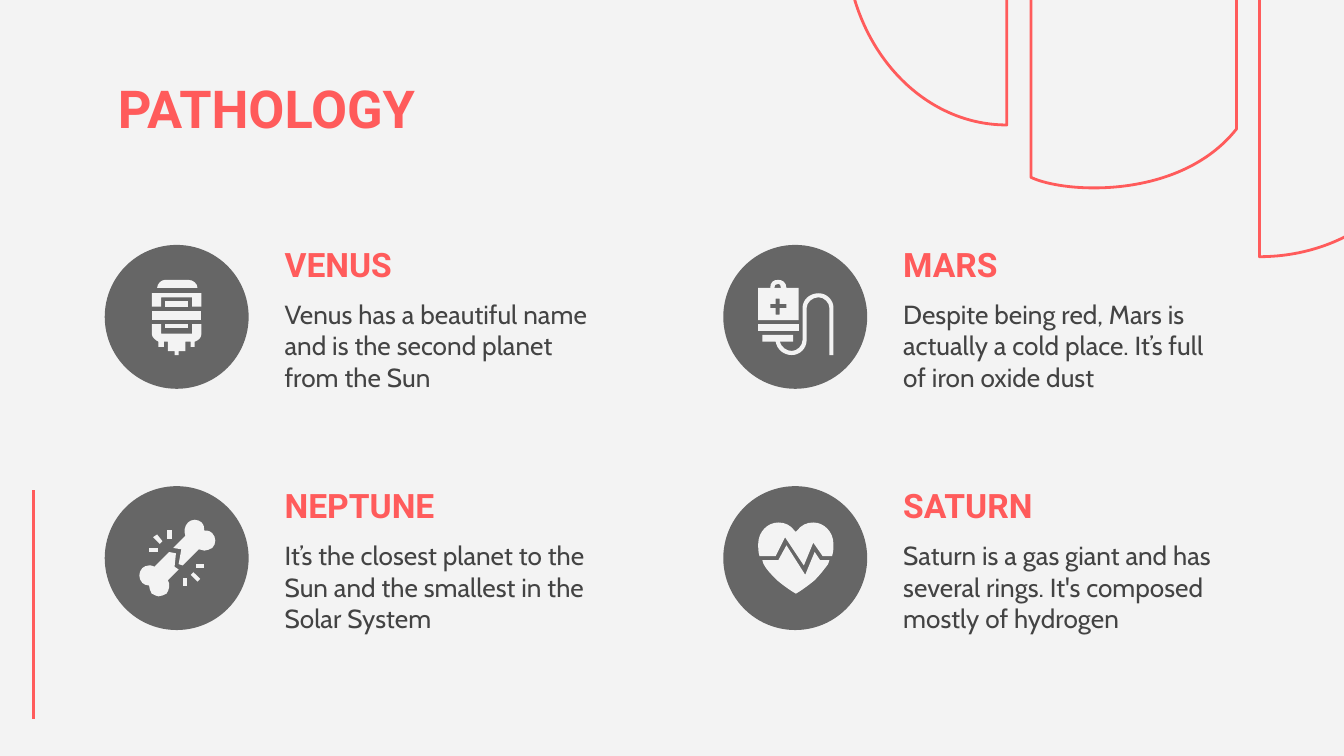
from itertools import islice

from pptx import Presentation
from pptx.dml.color import RGBColor
from pptx.enum import shapes, text
from pptx.oxml import parse_xml
from pptx.oxml.ns import nsdecls, qn
from pptx.util import Cm, Pt

COLORS = {"paper": "F3F3F3", "accent": "FF5B5B", "disc": "666666", "body": "434343"}
UNIT = Cm(2.54) / 100  # outlines are written in hundredths of an inch
DISC = Cm(2.72)

# Outlines: M move, L lines, C Bezier curve, R rectangle from corner to corner
ARCS = [
    "M 120 93 L 120 -187 C 54 -187 0 -125 0 -47 C 0 31 54 93 120 93",
    "M 308 -41 L 308 191 C 380 191 438 139 438 75 C 438 11 380 -41 308 -41",
    "M 138 132 C 163 144 249 149 291 96 L 291 -110 C 274 -148 192 -167 138 -149",
]
BANDAGED_HEAD = [
    "M 45 26 C 42 26 39 29 39 32 L 69 32 C 69 29 66 26 62 26",
    "R 45 59 62 62",
    "R 45 42 62 46",
    "M 35 36 L 35 46 42 46 42 39 65 39 65 46 72 46 72 36",
    "M 35 59 L 35 66 C 35 69 38 71 40 72 L 40 76 44 76 44 72 47 72 47 79 52 79 52 82 "
    "55 82 55 79 60 79 60 72 64 72 64 76 67 76 67 72 C 70 71 72 69 72 66 "
    "L 72 59 65 59 65 66 42 66 42 59",
    "R 35 49 72 56",
]
DRIP_BAG = [
    "M 41 29 C 42 29 43 30 43 32 L 38 32 C 38 30 39 29 41 29 "
    "M 42 40 L 42 44 47 44 47 47 42 47 42 52 39 52 39 47 35 47 35 44 39 44 39 40 "
    "M 41 26 C 37 26 35 28 35 32 L 26 32 26 56 56 56 56 32 47 32 C 47 28 44 26 41 26",
    "R 26 59 56 64",
    "M 71 36 C 64 36 59 41 59 47 L 59 71 C 59 75 55 79 51 79 C 47 79 43 76 42 72 "
    "L 52 72 52 67 29 67 29 72 39 72 C 40 78 45 82 51 82 C 57 82 62 77 62 71 "
    "L 62 47 C 62 43 66 39 71 39 C 75 39 79 43 79 47 L 79 82 82 82 82 47 "
    "C 82 41 77 36 71 36",
]
BROKEN_BONE = [
    "M 48 49 L 37 60 C 36 59 34 59 33 59 C 31 59 29 60 28 61 C 25 64 25 69 28 72 "
    "C 29 73 31 74 33 74 C 33 76 34 78 35 80 C 37 81 39 82 40 82 C 42 82 44 81 46 80 "
    "C 48 77 49 73 47 70 L 55 62 52 60 53 50",
    "M 67 25 C 65 25 63 26 62 27 C 59 30 59 34 60 37 L 51 46 57 47 55 58 58 59 70 47 "
    "C 72 47 73 48 74 48 C 76 48 78 47 80 46 C 83 43 83 38 80 35 C 78 33 76 33 74 33 "
    "C 74 31 74 29 72 27 C 71 26 69 25 67 25",
    "M 39 36 L 36 38 41 43 43 41",
    "R 33 46 40 49",
    "R 46 33 50 39",
    "M 66 64 L 64 66 69 71 71 69",
    "R 68 58 74 61",
    "R 58 68 61 74",
]
HEARTBEAT = [
    "M 47 44 L 41 55 29 55 C 29 56 30 57 30 58 C 32 62 36 66 40 70 C 46 75 52 79 54 80 "
    "C 56 79 62 75 68 70 C 72 66 75 62 78 58 C 78 57 79 56 79 55 L 72 55 68 49 61 66",
    "M 41 27 C 33 27 26 34 26 43 C 26 46 26 49 27 52 L 39 52 46 38 60 59 67 42 74 52 "
    "81 52 C 82 49 82 46 82 43 C 82 34 75 27 67 27 C 62 27 58 29 55 33 L 54 34 53 33 "
    "C 50 29 46 27 41 27",
]
# Row by row
CARDS = [
    ("VENUS", "Venus has a beautiful name and is the second planet from the Sun",
     BANDAGED_HEAD),
    ("MARS", "Despite being red, Mars is actually a cold place. It’s full of iron oxide dust",
     DRIP_BAG),
    ("NEPTUNE", "It’s the closest planet to the Sun and the smallest in the Solar System",
     BROKEN_BONE),
    ("SATURN", "Saturn is a gas giant and has several rings. It's composed mostly of hydrogen",
     HEARTBEAT),
]


def color(name):
    return RGBColor.from_string(COLORS[name])


def contours(outline):
    """Split an outline into contours of segments: one point, or three for a curve."""
    found, command, values = [], None, []
    for token in outline.split():
        if token.isalpha():
            command = token
            continue
        values.append(int(token))
        if len(values) < {"C": 6, "R": 4}.get(command, 2):
            continue
        if command == "R":
            x0, y0, x1, y1 = values
            found.append([[(x0, y0)], [(x1, y0)], [(x1, y1)], [(x0, y1)]])
        else:
            if command == "M":
                found.append([])
            found[-1].append(list(zip(values[::2], values[1::2])))
        values = []
    return found


def bend_curves(sp, found):
    """Join the three lines of each curve segment into one Bezier curve."""
    geometry = next(sp._element.iter(qn("a:path")))
    nodes = iter(list(geometry))
    for contour in found:
        for segment in contour:
            lines = list(islice(nodes, len(segment)))
            if len(segment) == 3:
                curve = geometry.makeelement(qn("a:cubicBezTo"))
                lines[0].addprevious(curve)
                for line in lines:
                    curve.append(line[0])
                    geometry.remove(line)
        next(nodes)  # the closing mark


def add_outlines(s, outlines, left, top):
    """Draw the outlines from the given corner and return their shapes."""
    drawn = []
    for outline in outlines:
        builder = None
        found = contours(outline)
        for contour in found:
            points = [(round(left + x * UNIT), round(top + y * UNIT))
                      for segment in contour for x, y in segment]
            if builder is None:
                builder = s.shapes.build_freeform(*points[0])
            else:
                builder.move_to(*points[0])
            builder.add_line_segments(points[1:], close=True)
        sp = builder.convert_to_shape()
        bend_curves(sp, found)
        sp.shadow.inherit = False
        drawn.append(sp)
    s.shapes.add_group_shape(drawn)
    return drawn


def write(sp, content, size, font, color_name, bold=False):
    tf = sp.text_frame
    tf.word_wrap = True
    tf.auto_size = text.MSO_AUTO_SIZE.NONE
    tf.vertical_anchor = text.MSO_ANCHOR.TOP
    tf.margin_left = tf.margin_right = tf.margin_top = tf.margin_bottom = Cm(0.25)
    p = tf.paragraphs[0]
    p.text = content
    p.alignment = text.PP_ALIGN.LEFT
    p.font.size, p.font.name, p.font.bold = Pt(size), font, bold
    p.font.color.rgb = color(color_name)


def add_decor(s, left, top):
    """Arcs hang from the top right corner; a rule stands at the left edge."""
    for sp in add_outlines(s, ARCS, left, top):
        sp.fill.background()
        sp.line.color.rgb = color("accent")
        sp.line.width = Pt(1.5)
    rule = s.shapes.add_connector(shapes.MSO_CONNECTOR.STRAIGHT,
                                  Cm(0.63), Cm(13.59), Cm(0.63), Cm(9.26))
    rule.line.color.rgb = color("accent")
    rule.line.width = Pt(1.5)
    rule._element.find(qn("p:spPr")).append(parse_xml(f"<a:effectLst {nsdecls('a')}/>"))


def add_title(s, left, top, width, height):
    sp = s.shapes.title
    sp.left, sp.top, sp.width, sp.height = left, top, width, height
    write(sp, "PATHOLOGY", 28, "Roboto", "accent", bold=True)


def add_card(s, left, top, heading, body, icon):
    disc_top = top + Cm(0.27)
    disc = s.shapes.add_shape(shapes.MSO_SHAPE.OVAL, left, disc_top, DISC, DISC)
    disc.shadow.inherit = False
    disc.fill.solid()
    disc.fill.fore_color.rgb = color("disc")
    disc.line.fill.background()
    for sp in add_outlines(s, icon, left, disc_top):
        sp.fill.solid()
        sp.fill.fore_color.rgb = color("paper")
        sp.line.fill.background()
    text_left, width = left + Cm(3.15), Cm(6.6)
    write(s.shapes.add_textbox(text_left, top, width, Cm(1.14)),
          heading, 18, "Roboto", "accent", bold=True)
    write(s.shapes.add_textbox(text_left, top + Cm(1.03), width, Cm(2.11)),
          body, 14, "Cabin", "body")


def main():
    prs = Presentation()
    prs.slide_width, prs.slide_height = Cm(25.4), Cm(14.29)
    s = prs.slides.add_slide(prs.slide_layouts[5])
    s.background.fill.solid()
    s.background.fill.fore_color.rgb = color("paper")
    add_decor(s, Cm(15.98), 0)
    add_title(s, Cm(1.98), Cm(1.19), Cm(21.44), Cm(1.3))
    for i, card in enumerate(CARDS):
        row, column = divmod(i, 2)
        add_card(s, Cm(1.98 + 11.69 * column), Cm(4.36 + 4.56 * row), *card)
    prs.save("out.pptx")


if __name__ == "__main__":
    main()
